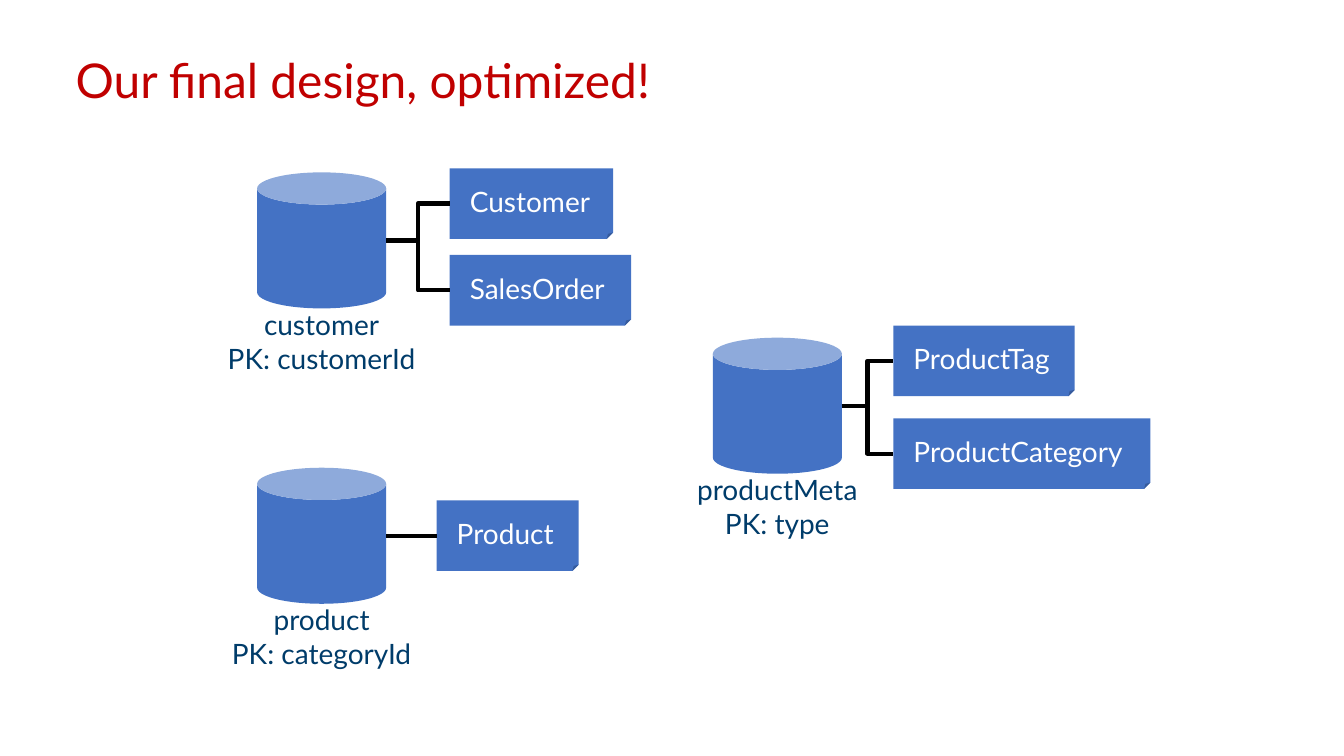
from pptx import Presentation
from pptx.dml.color import RGBColor
from pptx.enum.shapes import MSO_CONNECTOR, MSO_SHAPE
from pptx.enum.text import MSO_ANCHOR, MSO_AUTO_SIZE, PP_ALIGN
from pptx.oxml.ns import qn
from pptx.util import Inches, Pt
from lxml.etree import SubElement

RED = RGBColor(0xC0, 0x00, 0x00)
BLUE = RGBColor(0x44, 0x72, 0xC4)
NAVY = RGBColor(0x00, 0x3C, 0x6A)
WHITE = RGBColor(0xFF, 0xFF, 0xFF)
BLACK = RGBColor(0x00, 0x00, 0x00)

CAN_W, CAN_H = 1.28, 1.35
NOTE_H = 0.7


class Board:
    face = "Lato"
    size = 20

    def __init__(self, slide):
        self.slide = slide

    def font(self, para, size, color):
        para.font.name = self.face
        para.font.size = Pt(size)
        para.font.color.rgb = color

    def title(self, text):
        head = self.slide.shapes.title
        head.left, head.top = Inches(0.65), Inches(0.5)
        head.width, head.height = Inches(12.04), Inches(0.64)
        frame = head.text_frame
        frame.text = text
        frame.auto_size = MSO_AUTO_SIZE.NONE
        frame.vertical_anchor = MSO_ANCHOR.MIDDLE
        para = frame.paragraphs[0]
        para.alignment = PP_ALIGN.LEFT
        para.line_spacing = 0.9
        self.font(para, 34.2, RED)

    def shape(self, kind, box, text, color, align, insets):
        shape = self.slide.shapes.add_shape(kind, *map(Inches, box))
        shape.shadow.inherit = False
        shape.fill.solid()
        shape.fill.fore_color.rgb = BLUE
        shape.line.fill.background()
        frame = shape.text_frame
        frame.text = text
        side, top, low = map(Inches, insets)
        frame.margin_left = frame.margin_right = side
        frame.margin_top, frame.margin_bottom = top, low
        for para in frame.paragraphs:
            para.alignment = align
            self.font(para, self.size, color)
        return shape

    def can(self, left, top, name, key):
        # The large top inset pushes the label below the can
        can = self.shape(MSO_SHAPE.CAN, (left, top, CAN_W, CAN_H),
                         f"{name}\nPK: {key}", NAVY, PP_ALIGN.CENTER, (0, 2, 0.16))
        can.text_frame.word_wrap = False
        can.text_frame.vertical_anchor = MSO_ANCHOR.MIDDLE

    def note(self, left, top, width, text):
        note = self.shape(MSO_SHAPE.FOLDED_CORNER, (left, top, width, NOTE_H),
                          text, WHITE, PP_ALIGN.LEFT, (0.2, 0.16, 0.16))
        # The size of the fold is only reachable through XML
        folds = next(note.element.iter(qn("a:avLst")))
        SubElement(folds, qn("a:gd"), name="adj", fmla="val 8900")
        note.text_frame.word_wrap = True
        note.text_frame.vertical_anchor = MSO_ANCHOR.TOP
        return note

    def link(self, x, y, note):
        start = Inches(x), Inches(y)
        end = note.left, note.top + note.height // 2
        flat = abs(end[1] - start[1]) < Inches(0.01)
        kind = MSO_CONNECTOR.STRAIGHT if flat else MSO_CONNECTOR.ELBOW
        line = self.slide.shapes.add_connector(kind, *start, *end)
        if flat:
            line.end_connect(note, 1)
        line.line.color.rgb = BLACK
        line.line.width = Pt(3)
        SubElement(line.element.spPr, qn("a:effectLst"))

    def store(self, left, top, name, key, notes_left, notes):
        self.can(left, top, name, key)
        mid = top + CAN_H / 2
        for text, width, note_top in notes:
            if note_top is None:  # a lone note sits level with its can
                note_top = mid - NOTE_H / 2
            note = self.note(notes_left, note_top, width, text)
            self.link(left + CAN_W, mid, note)


def main():
    deck = Presentation()
    deck.slide_width, deck.slide_height = Inches(13.33), Inches(7.5)
    board = Board(deck.slides.add_slide(deck.slide_layouts[5]))

    # Title
    board.title("Our final design, optimized!")

    # Containers with the entities they hold: text, width, top
    board.store(2.55, 1.71, "customer", "customerId", 4.46,
                [("Customer", 1.62, 1.67), ("SalesOrder", 1.8, 2.53)])
    board.store(7.07, 3.35, "productMeta", "type", 8.86,
                [("ProductTag", 1.8, 3.23), ("ProductCategory", 2.55, 4.15)])
    board.store(2.55, 4.64, "product", "categoryId", 4.33,
                [("Product", 1.41, None)])

    deck.save("out.pptx")


if __name__ == "__main__":
    main()
